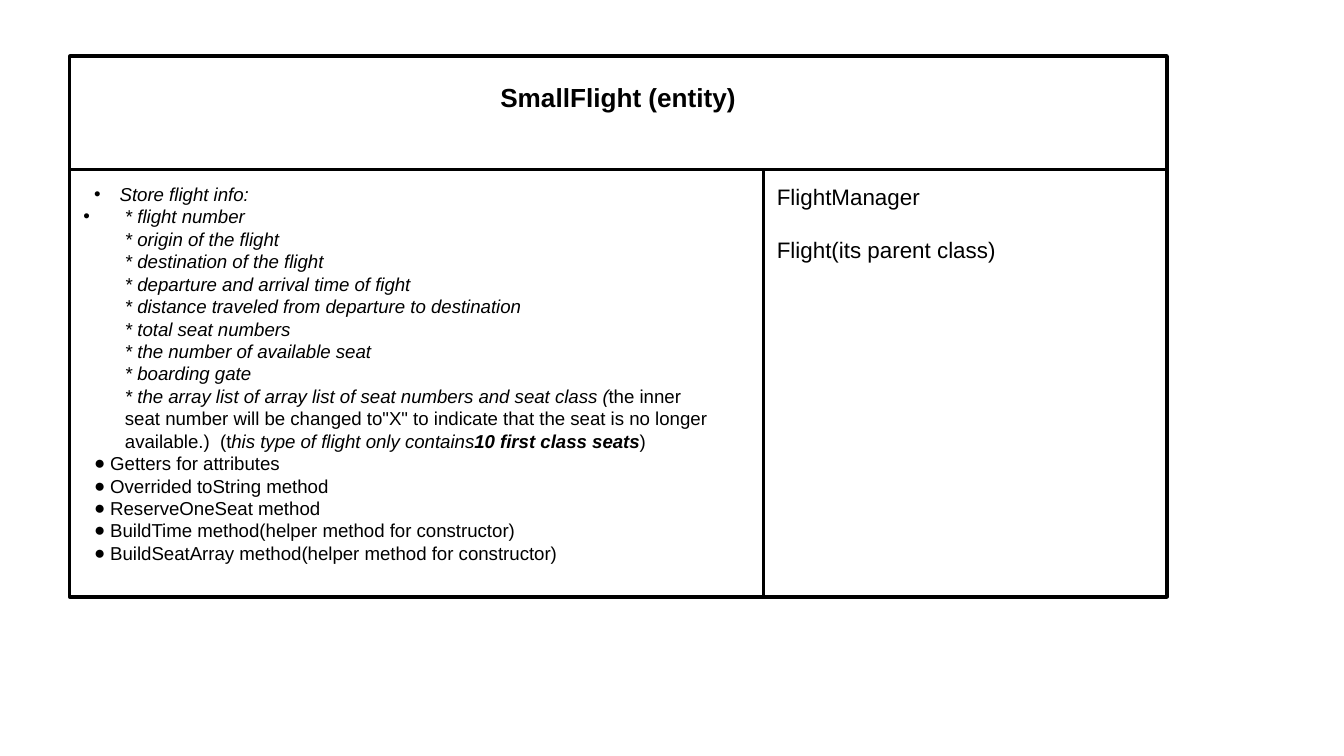
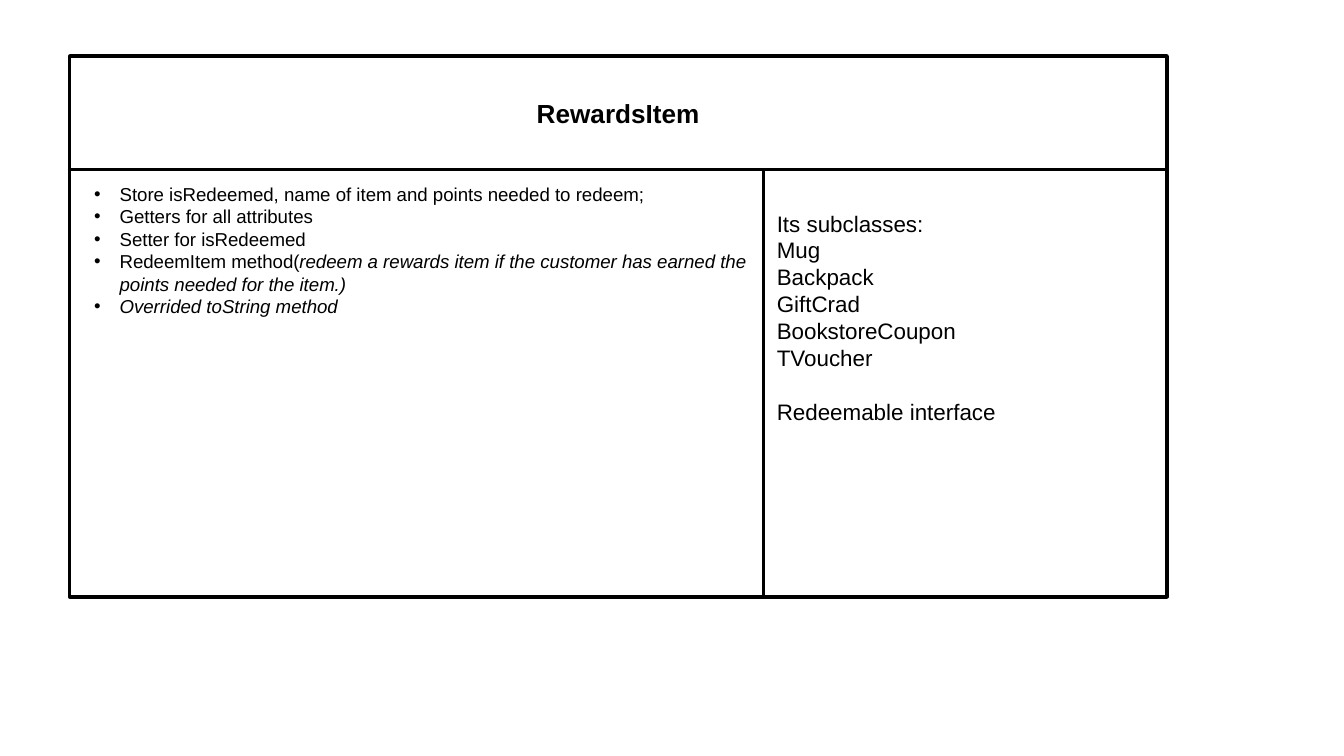
from lxml.etree import SubElement
from pptx import Presentation
from pptx.dml.color import RGBColor
from pptx.enum.shapes import MSO_SHAPE
from pptx.enum.text import MSO_ANCHOR, MSO_AUTO_SIZE, PP_ALIGN
from pptx.oxml.ns import qn
from pptx.util import Inches, Pt

FONT, BLACK, WHITE = "Arial", "000000", "FFFFFF"
PLAIN, ITALIC, STRONG = {}, {"italic": True}, {"italic": True, "bold": True}
HARD_SPACE = chr(160)

# Bullet styles: character, text margin and first-line indent in inches
DOT = ("•", 0.27, -0.19)
DETAIL = ("•", 0.31, -0.31)
DISC = ("●", 0.2, -0.12)
NO_BULLET = (None, 0, 0)

FLIGHT_DETAILS = "\n".join([
    "* flight number",
    "* origin of the flight",
    "* destination of the flight",
    "* departure and arrival time of fight",
    "* distance traveled from departure to destination",
    "* total seat numbers",
    "* the number of available seat",
    "* boarding gate",
    "* the array list of array list of seat numbers and seat class (",
])

# Responsibilities: (bullet, runs); collaborators: groups of lines set apart by a gap
CARDS = [
    {
        "name": "SmallFlight (entity)",
        "name_bottom_inset": 0.34,
        "responsibilities": [
            (DOT, [("Store flight info:", ITALIC)]),
            (DETAIL, [
                (FLIGHT_DETAILS, ITALIC),
                (f'the inner seat{HARD_SPACE}number will be changed to"X"{HARD_SPACE}to indicate '
                 f"that the seat is no longer available.){HARD_SPACE} (t", PLAIN),
                ("his type of flight only contains", ITALIC),
                ("10 first class seats", STRONG),
                (")", PLAIN),
            ]),
            (DISC, [("Getters for attributes", PLAIN)]),
            (DISC, [("Overrided toString method", PLAIN)]),
            (DISC, [("ReserveOneSeat method", PLAIN)]),
            (DISC, [("BuildTime method(helper method for constructor)", PLAIN)]),
            (DISC, [("BuildSeatArray method(helper method for constructor)", PLAIN)]),
        ],
        "collaborators": [["FlightManager"], ["Flight(its parent class)"]],
        "collaborators_top_inset": 0.1,
    },
    {
        "name": "RewardsItem",
        "name_bottom_inset": 0.1,
        "responsibilities": [
            (DOT, [("Store isRedeemed, name of item and points needed to redeem;", PLAIN)]),
            (DOT, [("Getters for all attributes", PLAIN)]),
            (DOT, [("Setter for isRedeemed", PLAIN)]),
            (DOT, [
                ("RedeemItem method(", PLAIN),
                ("redeem a rewards item if the customer has earned the points "
                 "needed for the item.)", ITALIC),
            ]),
            (DOT, [("Overrided toString method", ITALIC)]),
        ],
        "collaborators": [
            ["Its subclasses:", "Mug", "Backpack", "GiftCrad", "BookstoreCoupon", "TVoucher"],
            ["Redeemable interface"],
        ],
        "collaborators_top_inset": 0.3,
    },
]

# Card layout in inches
LEFT, TOP, WIDTH, HEIGHT = 0.52, 0.42, 8.16, 4.02
NAME_HEIGHT, LEFT_WIDTH = 0.84, 5.16
BODY_TOP = TOP + NAME_HEIGHT
BODY_HEIGHT = HEIGHT - NAME_HEIGHT
INSET = 0.1
GROUP_GAP = 14.4


def color(hex_string):
    return RGBColor.from_string(hex_string)


def style_box(shape, left, top, width, height, line_width=1.5):
    box = {"left": left, "top": top, "width": width, "height": height}
    for name, value in box.items():
        setattr(shape, name, Inches(value))
    shape.fill.solid()
    shape.fill.fore_color.rgb = color(WHITE)
    shape.line.color.rgb = color(BLACK)
    shape.line.width = Pt(line_width)


def prepare_text(shape, anchor=MSO_ANCHOR.TOP, top_inset=INSET, bottom_inset=INSET):
    frame = shape.text_frame
    settings = {
        "word_wrap": True,
        "auto_size": MSO_AUTO_SIZE.NONE,
        "vertical_anchor": anchor,
        "margin_left": Inches(INSET),
        "margin_right": Inches(INSET),
        "margin_top": Inches(top_inset),
        "margin_bottom": Inches(bottom_inset),
    }
    for name, value in settings.items():
        setattr(frame, name, value)
    return frame


def set_bullet(paragraph, character, margin, indent):
    properties = paragraph._p.get_or_add_pPr()
    properties.set("marL", str(Inches(margin)))
    properties.set("indent", str(Inches(indent)))
    if character is None:
        SubElement(properties, qn("a:buNone"))
        return
    bullet_color = SubElement(properties, qn("a:buClr"))
    SubElement(bullet_color, qn("a:srgbClr"), val=BLACK)
    SubElement(properties, qn("a:buFont"), typeface=FONT)
    SubElement(properties, qn("a:buChar"), char=character)


def write_paragraph(paragraph, runs, size, bullet=NO_BULLET, alignment=PP_ALIGN.LEFT, gap=0):
    """Write (text, style) runs, turning each newline into a line break."""
    settings = {
        "alignment": alignment,
        "line_spacing": 1.0,
        "space_before": Pt(gap),
        "space_after": Pt(0),
    }
    for name, value in settings.items():
        setattr(paragraph, name, value)
    set_bullet(paragraph, *bullet)
    for text, style in runs:
        for index, line in enumerate(text.split("\n")):
            if index:
                paragraph.add_line_break()
            run = paragraph.add_run()
            run.text = line
            font = {"name": FONT, "size": Pt(size), "bold": False, "italic": False, **style}
            for name, value in font.items():
                setattr(run.font, name, value)
            run.font.color.rgb = color(BLACK)


def write_paragraphs(frame, paragraphs, size):
    for index, (runs, options) in enumerate(paragraphs):
        paragraph = frame.add_paragraph() if index else frame.paragraphs[0]
        write_paragraph(paragraph, runs, size, **options)


def add_outline(slide):
    """Put the heavy card border behind the three compartments."""
    outline = slide.shapes.add_shape(MSO_SHAPE.RECTANGLE, 0, 0, 0, 0)
    style_box(outline, LEFT, TOP, WIDTH, HEIGHT, 2.25)
    outline.shadow.inherit = False
    slide.shapes.title._element.addprevious(outline._element)


def add_card(presentation, card):
    slide = presentation.slides.add_slide(presentation.slide_layouts.get_by_name("Two Content"))
    name, responsibilities, collaborators = slide.placeholders
    add_outline(slide)

    style_box(name, LEFT, TOP, WIDTH, NAME_HEIGHT)
    frame = prepare_text(name, MSO_ANCHOR.MIDDLE, bottom_inset=card["name_bottom_inset"])
    title_runs = [(card["name"], {"bold": True})]
    write_paragraphs(frame, [(title_runs, {"alignment": PP_ALIGN.CENTER})], 14)

    style_box(responsibilities, LEFT, BODY_TOP, LEFT_WIDTH, BODY_HEIGHT)
    frame = prepare_text(responsibilities)
    items = [(runs, {"bullet": bullet}) for bullet, runs in card["responsibilities"]]
    write_paragraphs(frame, items, 10)

    style_box(collaborators, LEFT + LEFT_WIDTH, BODY_TOP, WIDTH - LEFT_WIDTH, BODY_HEIGHT)
    frame = prepare_text(collaborators, top_inset=card["collaborators_top_inset"])
    lines = [
        ([(text, PLAIN)], {"gap": GROUP_GAP if group_index and not line_index else 0})
        for group_index, group in enumerate(card["collaborators"])
        for line_index, text in enumerate(group)
    ]
    write_paragraphs(frame, lines, 12)


def main():
    presentation = Presentation()
    presentation.slide_width = Inches(10)
    presentation.slide_height = presentation.slide_width * 9 // 16
    for card in CARDS:
        add_card(presentation, card)
    presentation.save("out.pptx")


if __name__ == "__main__":
    main()
